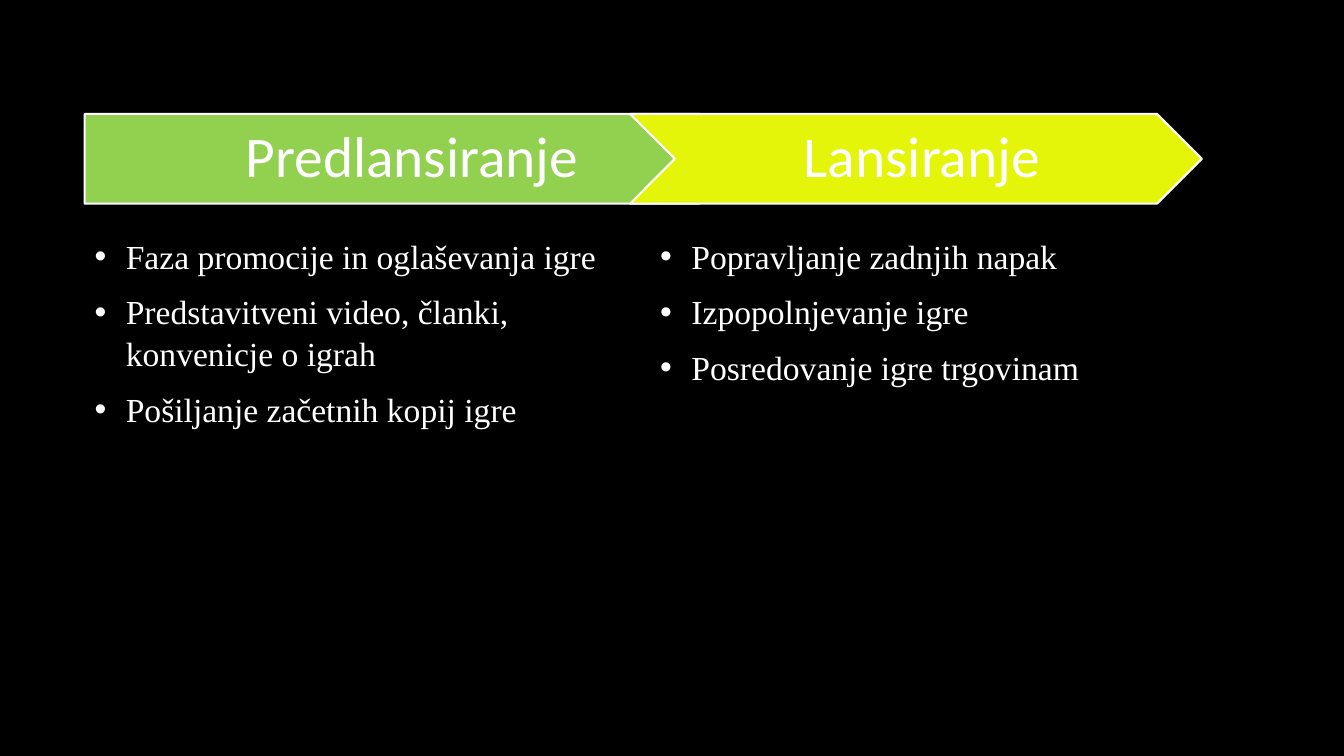
from lxml import etree
from pptx import Presentation
from pptx.dml.color import RGBColor
from pptx.enum.shapes import MSO_SHAPE
from pptx.enum.text import MSO_ANCHOR, PP_ALIGN
from pptx.oxml.ns import qn
from pptx.util import Inches, Pt

BLACK = RGBColor(0x00, 0x00, 0x00)
WHITE = RGBColor(0xFF, 0xFF, 0xFF)
GREEN = RGBColor(0x92, 0xD0, 0x50)
YELLOW = RGBColor(0xE4, 0xF5, 0x09)

PENTAGON, CHEVRON = MSO_SHAPE.PENTAGON, MSO_SHAPE.CHEVRON
MIDDLE, TOP = MSO_ANCHOR.MIDDLE, MSO_ANCHOR.TOP
CENTER, LEFT = PP_ALIGN.CENTER, PP_ALIGN.LEFT

# Two columns, in inches
COL_LEFT, COL_STEP, COL_W = 0.84, 5.61, 5.46
ARROW_TOP, ARROW_H = 1.13, 0.89
LIST_TOP, LIST_H = 1.7, 5.23
INDENT = 0.31

# Title, arrow shape, colour, arrow left, arrow width, steps
PHASES = [
    ("Predlansiranje", PENTAGON, GREEN, 0.84, 6.54, 0.24,
     ["Faza promocije in oglaševanja igre",
      "Predstavitveni video, članki, konvenicje o igrah",
      "Pošiljanje začetnih kopij igre"]),
    ("Lansiranje", CHEVRON, YELLOW, 6.25, 5.67, 0.18,
     ["Popravljanje zadnjih napak",
      "Izpopolnjevanje igre",
      "Posredovanje igre trgovinam"]),
]


def set_frame(tf, anchor, insets):
    tf.word_wrap = True
    tf.vertical_anchor = anchor
    tf.margin_left, tf.margin_top, tf.margin_right, tf.margin_bottom = (
        Inches(inset) for inset in insets)


def add_run(p, text, size, font):
    r = p.add_run()
    r.text = text
    r.font.size = Pt(size)
    r.font.name = font
    r.font.color.rgb = WHITE


def set_bullet(p):
    pPr = p._p.get_or_add_pPr()
    pPr.set("marL", str(Inches(INDENT)))
    pPr.set("indent", str(-Inches(INDENT)))
    color = etree.SubElement(pPr, qn("a:buClr"))
    etree.SubElement(color, qn("a:srgbClr"), val=str(WHITE))
    etree.SubElement(pPr, qn("a:buFont"), typeface="Arial")
    etree.SubElement(pPr, qn("a:buChar"), char="•")


def add_arrow(slide, box, kind, fill, title, left_inset):
    sp = slide.shapes.add_shape(kind, *map(Inches, box))
    sp.shadow.inherit = False
    sp.fill.solid()
    sp.fill.fore_color.rgb = fill
    sp.line.color.rgb = WHITE
    sp.line.width = Pt(1.5)
    set_frame(sp.text_frame, MIDDLE, (left_inset, 0.12, 0.06, 0.12))
    p = sp.text_frame.paragraphs[0]
    p.alignment = CENTER
    p.line_spacing = 0.9
    add_run(p, title, 41, "Calibri")


def add_steps(slide, box, steps):
    sp = slide.shapes.add_textbox(*map(Inches, box))
    tf = sp.text_frame
    # The top inset clears the arrow that overlaps the box
    set_frame(tf, TOP, (0.1, 0.62, 0.1, 0.05))
    for i, step in enumerate(steps):
        p = tf.paragraphs[0] if i == 0 else tf.add_paragraph()
        p.alignment = LEFT
        p.line_spacing = 1.04
        p.space_after = Pt(10)
        set_bullet(p)
        add_run(p, step, 24, "Times New Roman")


def main():
    prs = Presentation()
    prs.slide_width, prs.slide_height = Inches(13.33), Inches(7.5)
    slide = prs.slides.add_slide(prs.slide_layouts[6])
    slide.background.fill.solid()
    slide.background.fill.fore_color.rgb = BLACK

    for col, (title, kind, fill, left, width, inset, steps) in enumerate(PHASES):
        list_left = COL_LEFT + col * COL_STEP
        add_steps(slide, (list_left, LIST_TOP, COL_W, LIST_H), steps)
        add_arrow(slide, (left, ARROW_TOP, width, ARROW_H), kind, fill, title, inset)

    prs.save("out.pptx")


if __name__ == "__main__":
    main()
